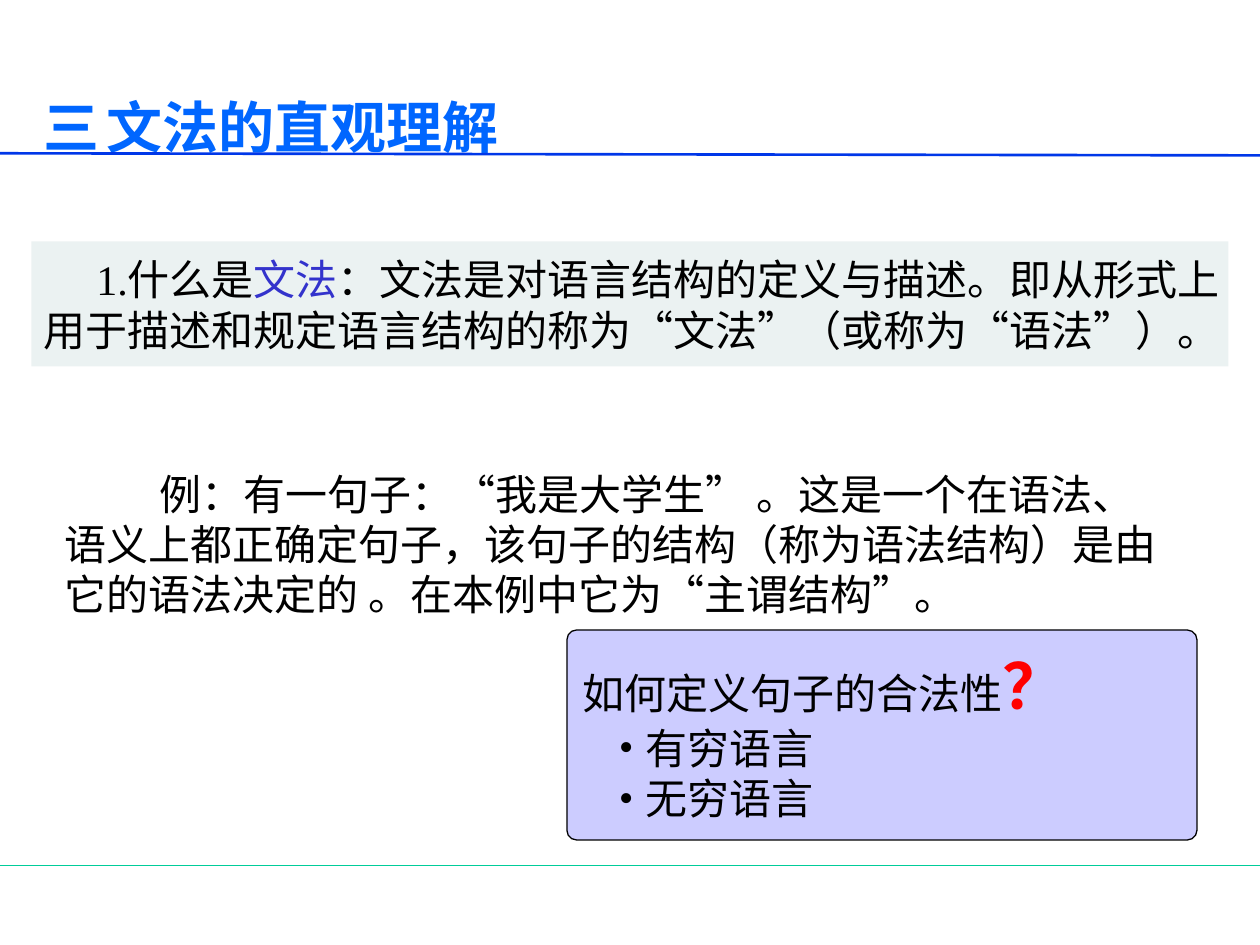
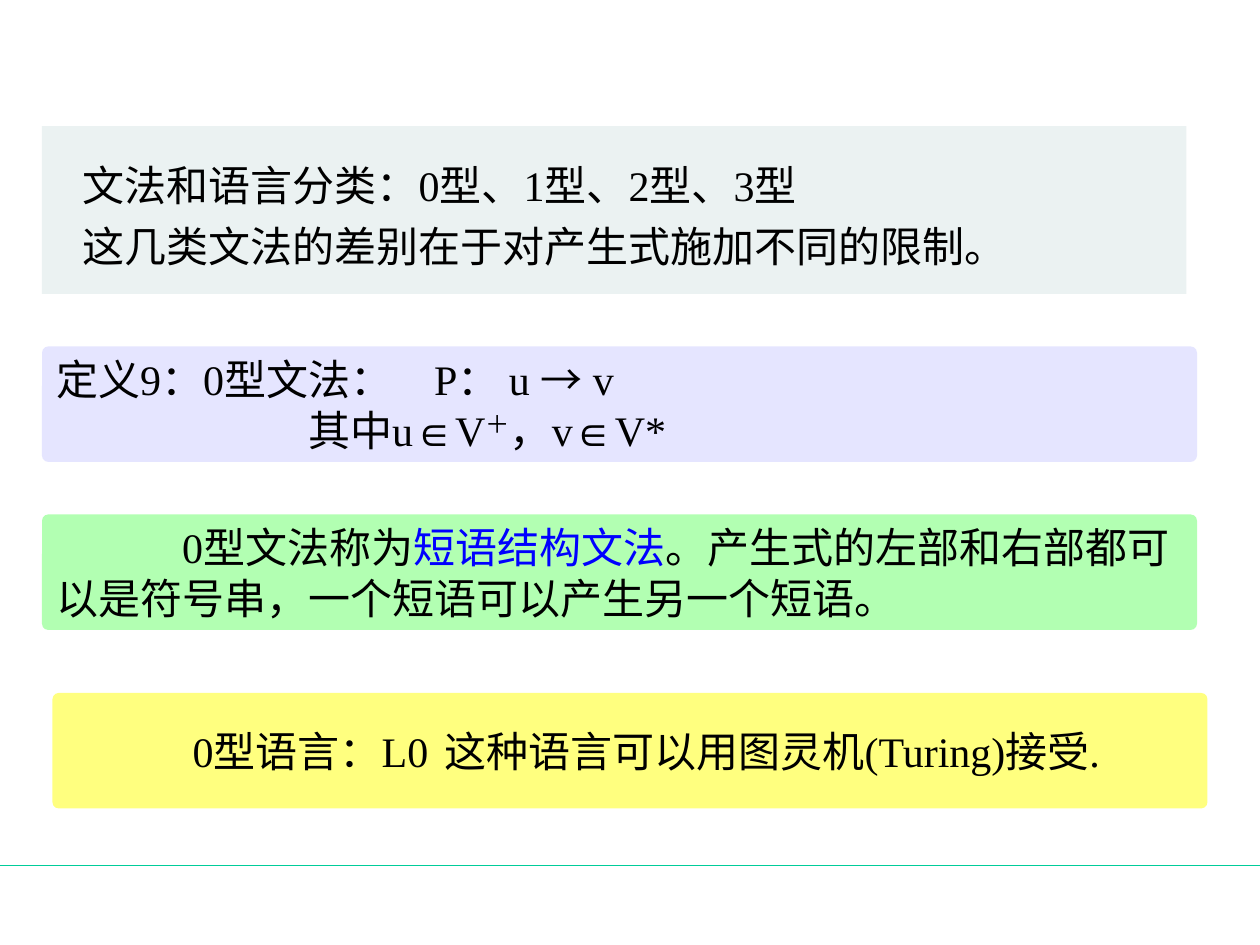
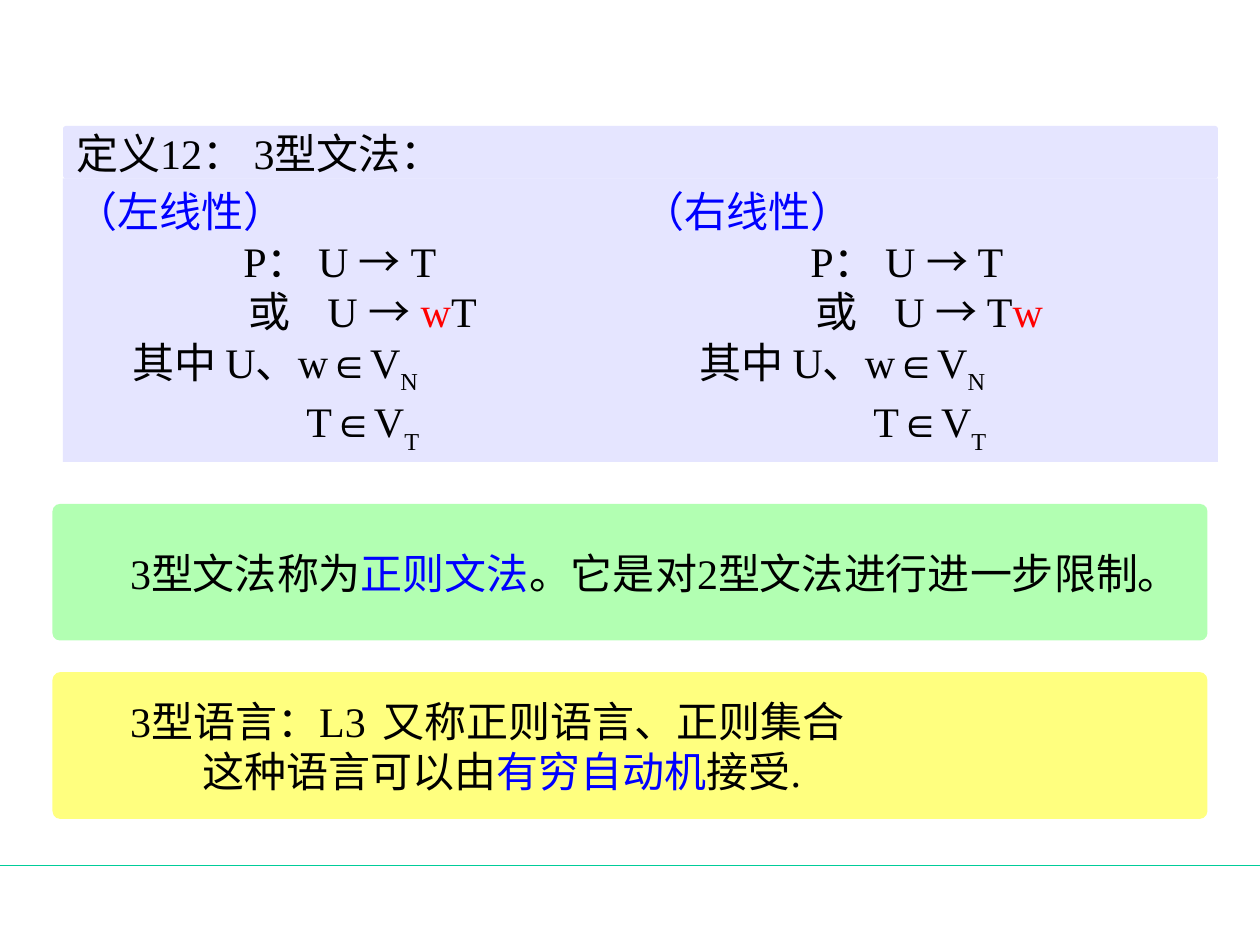
import dataclasses

import lxml.etree
import pptx
import pptx.dml.color
import pptx.enum.shapes
import pptx.enum.text
import pptx.oxml.ns
import pptx.util

EMU_PER_PX = 7620
PAGE_WIDTH, PAGE_HEIGHT = 1200, 900
ARROW = ("→", "arrow")


def px(length):
    return pptx.util.Emu(length * EMU_PER_PX)


def rgb(value):
    return pptx.dml.color.RGBColor.from_string(value)


def add_element(parent, tag, **attributes):
    element = lxml.etree.SubElement(parent, pptx.oxml.ns.qn(tag))
    for name, value in attributes.items():
        element.set(name, str(value))
    return element


@dataclasses.dataclass
class Theme:
    latin: str = "Times New Roman"
    asian: str = "Noto Sans CJK SC"
    body: int = 24
    ink: str = "000000"
    rule: str = "0037E8"
    footer: str = "00CC99"
    mist: str = "D9E6E6"
    lavender: str = "CCCCFF"
    green: str = "66FF66"
    yellow: str = "FFFF00"

    def text_format(self, style):
        base = {"name": self.latin, "size": self.body, "bold": False, "color": self.ink}
        changes = {
            "body": {},
            "title": {"size": 32, "bold": True, "color": "0066FF"},
            "term": {"color": "3333CC"},
            "key": {"color": "0000FF"},
            "alert": {"color": "FF0000"},
            "question": {"size": 36, "bold": True, "color": "FF0000"},
            "arrow": {"name": self.asian},
            "super": {"baseline": 30000},
            "sub": {"baseline": -30000},
        }
        return base | changes[style]


@dataclasses.dataclass
class Line:
    spans: list
    indent: int = 0
    tab: int = 0
    bullet: bool = False
    spacing: float = 1.0


class Builder:
    def __init__(self, theme):
        self.theme = theme
        self.deck = pptx.Presentation()
        self.deck.slide_width = px(PAGE_WIDTH)
        self.deck.slide_height = px(PAGE_HEIGHT)
        self.page = None

    def new_page(self):
        self.page = self.deck.slides.add_slide(self.deck.slide_layouts[6])
        self.rule(824, 824, self.theme.footer, 0.75)

    def rule(self, start_y, end_y, color, width):
        straight = pptx.enum.shapes.MSO_CONNECTOR.STRAIGHT
        line = self.page.shapes.add_connector(straight, 0, px(start_y), px(PAGE_WIDTH), px(end_y))
        line.line.color.rgb = rgb(color)
        line.line.width = pptx.util.Pt(width)
        add_element(line._element.spPr, "a:effectLst")

    def title(self, spans, tab):
        self.text_box((30, 82, 560, 76), [Line(spans, tab=tab)])
        self.rule(146, 148, self.theme.rule, 1.5)

    def text_box(self, area, lines):
        box = self.page.shapes.add_textbox(*map(px, area))
        self.fill_text(box, lines, word_wrap=True)

    def panel(self, area, color, lines, radius=0.0, alpha=50, outline=None):
        kinds = pptx.enum.shapes.MSO_SHAPE
        kind = kinds.ROUNDED_RECTANGLE if radius else kinds.RECTANGLE
        box = self.page.shapes.add_shape(kind, *map(px, area))
        if radius:
            box.adjustments[0] = radius
        box.shadow.inherit = False
        box.fill.solid()
        box.fill.fore_color.rgb = rgb(color)
        if alpha < 100:
            swatch = box._element.spPr.find(".//" + pptx.oxml.ns.qn("a:srgbClr"))
            add_element(swatch, "a:alpha", val=alpha * 1000)
        if outline:
            box.line.color.rgb = rgb(outline)
            box.line.width = pptx.util.Pt(0.75)
        else:
            box.line.fill.background()
        middle = pptx.enum.text.MSO_ANCHOR.MIDDLE
        self.fill_text(box, lines, word_wrap=False, vertical_anchor=middle)

    def fill_text(self, box, lines, **frame_format):
        frame = box.text_frame
        margins = dict(margin_left=px(12), margin_right=px(12), margin_top=px(6), margin_bottom=px(6))
        for name, value in (margins | frame_format).items():
            setattr(frame, name, value)
        for index, line in enumerate(lines):
            para = frame.add_paragraph() if index else frame.paragraphs[0]
            self.format_paragraph(para, line)
            for span in line.spans:
                text, style = (span, "body") if isinstance(span, str) else span
                self.add_span(para, text, style)

    def format_paragraph(self, para, line):
        para.alignment = pptx.enum.text.PP_ALIGN.LEFT
        properties = para._p.get_or_add_pPr()
        margin, indent = (60, -25) if line.bullet else (0, line.indent)
        properties.set("marL", str(px(margin)))
        properties.set("indent", str(px(indent)))
        if line.bullet:
            color = add_element(properties, "a:buClr")
            add_element(color, "a:srgbClr", val=self.theme.ink)
            add_element(properties, "a:buFont", typeface=self.theme.latin)
            add_element(properties, "a:buChar", char="•")
        if line.tab:
            stops = add_element(properties, "a:tabLst")
            add_element(stops, "a:tab", pos=px(line.tab), algn="l")
        if line.spacing != 1:
            para.line_spacing = line.spacing

    def add_span(self, para, text, style):
        span = para.add_run()
        span.text = text
        values = self.theme.text_format(style)
        span.font.color.rgb = rgb(values.pop("color"))
        values["size"] = pptx.util.Pt(values["size"])
        properties = span._r.get_or_add_rPr()
        if "baseline" in values:
            properties.set("baseline", str(values.pop("baseline")))
        for name, value in values.items():
            setattr(span.font, name, value)
        add_element(properties, "a:ea", typeface=self.theme.asian)


def grammar_intuition(builder):
    theme = builder.theme
    builder.new_page()
    builder.title([("三\t文法的直观理解", "title")], tab=78)
    builder.panel((30, 230, 1140, 119), theme.mist, [
        Line(["1.什么是", ("文法", "term"), "：文法是对语言结构的定义与描述。即从形式上"], indent=50),
        Line(["用于描述和规定语言结构的称为“文法”（或称为“语法”）。"]),
    ])
    builder.text_box((50, 440, 1080, 156), [
        Line(["例：有一句子：“我是大学生” 。这是一个在语法、语义上都正确定句子，"
              "该句子的结构（称为语法结构）是由它的语法决定的 。在本例中它为“主谓结构”。"], indent=90),
    ])
    builder.panel((540, 600, 600, 200), theme.lavender, [
        Line(["如何定义句子的合法性", ("？", "question")]),
        Line(["有穷语言"], bullet=True),
        Line(["无穷语言"], bullet=True),
    ], radius=0.046, alpha=100, outline=theme.ink)


def type_zero_grammar(builder):
    theme = builder.theme
    builder.new_page()
    builder.panel((40, 120, 1090, 160), theme.mist, [
        Line([text], indent=27, spacing=1.2)
        for text in ("文法和语言分类：0型、1型、2型、3型", "这几类文法的差别在于对产生式施加不同的限制。")
    ])
    builder.panel((40, 330, 1100, 110), theme.lavender, [
        Line(["定义9：0型文法：\tP： u ", ARROW, " v"], tab=423),
        Line(["其中u∈V", ("＋", "super"), "，v∈V*"], indent=240),
    ], radius=0.054)
    builder.panel((40, 490, 1100, 110), theme.green, [
        Line(["0型文法称为", ("短语结构文法", "key"), "。产生式的左部和右部都可"], indent=120),
        Line(["以是符号串，一个短语可以产生另一个短语。"]),
    ], radius=0.054)
    builder.panel((50, 660, 1100, 110), theme.yellow, [
        Line(["0型语言：L0\t这种语言可以用图灵机(Turing)接受."], indent=120, tab=424),
    ], radius=0.054)


def linear_rules(name, product):
    return [
        Line([(f"（{name}）", "key")]),
        Line(["P： U ", ARROW, " T"], indent=160),
        Line(["或\tU ", ARROW, " ", *product], indent=165, tab=232),
        Line(["其中 U、w∈V", ("N", "sub")], indent=54),
        Line(["T∈V", ("T", "sub")], indent=220),
    ]


def type_three_grammar(builder):
    theme = builder.theme
    builder.new_page()
    builder.panel((60, 120, 1100, 50), theme.lavender, [Line(["定义12： 3型文法："])], radius=0.054)
    nonterminal = ("w", "alert")
    columns = [(60, 540, "左线性", [nonterminal, "T"]), (600, 560, "右线性", ["T", nonterminal])]
    for left, width, name, product in columns:
        builder.panel((left, 170, width, 270), theme.lavender, linear_rules(name, product))
    builder.panel((50, 480, 1100, 130), theme.green, [
        Line(["3型文法称为", ("正则文法", "key"), "。它是对2型文法进行进一步限制。"], indent=60),
    ], radius=0.054)
    builder.panel((50, 640, 1100, 140), theme.yellow, [
        Line(["3型语言：L3\t又称正则语言、正则集合"], indent=60, tab=356),
        Line(["这种语言可以由", ("有穷自动机", "key"), "接受."], indent=129),
    ], radius=0.054)


def main():
    builder = Builder(Theme())
    grammar_intuition(builder)
    type_zero_grammar(builder)
    type_three_grammar(builder)
    builder.deck.save("out.pptx")


if __name__ == "__main__":
    main()
